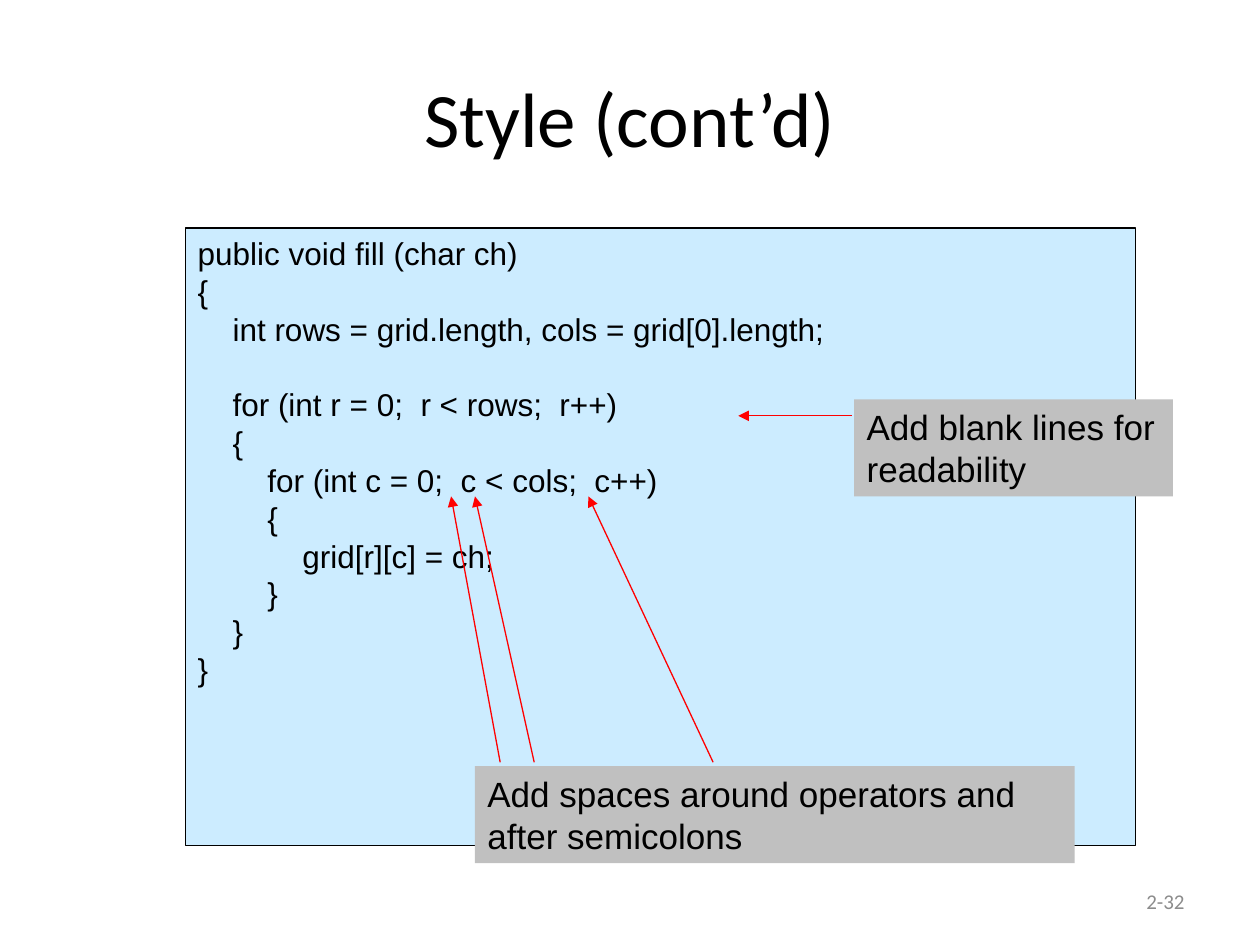
from lxml.etree import SubElement as Sub
from pptx import Presentation
from pptx.dml.color import RGBColor as RGB
from pptx.enum.shapes import MSO_CONNECTOR as Conn, MSO_SHAPE as Kind
from pptx.enum.text import MSO_ANCHOR as Anchor, PP_ALIGN as Align
from pptx.oxml.ns import qn
from pptx.util import Inches, Pt

BLACK = RGB(0x00, 0x00, 0x00)
GREY = RGB(0x8C, 0x8C, 0x8C)
SILVER = RGB(0xC0, 0xC0, 0xC0)
SKY = RGB(0xCC, 0xEC, 0xFF)
RED = RGB(0xFF, 0x00, 0x00)

COLS, ROWS = 100, 75
WIDE, HIGH = Inches(10), Inches(7.5)

CODE = """public void fill (char ch)
{
    int rows = grid.length, cols = grid[0].length;
   
    for (int r = 0;  r < rows;  r++)
    {
        for (int c = 0;  c < cols;  c++)
        {
            grid[r][c] = ch;
        }
    }
}"""


def place(*cells):
    """Turn alternating columns and rows into slide lengths."""
    units = (WIDE / COLS, HIGH / ROWS)
    return [round(n * units[i % 2]) for i, n in enumerate(cells)]


def write(shape, text, size, face="Arial", color=BLACK, align=Align.LEFT,
          anchor=Anchor.TOP):
    """Fill a shape with evenly styled lines of text."""
    frame = shape.text_frame
    frame.word_wrap = True
    frame.vertical_anchor = anchor
    frame.text = text
    for para in frame.paragraphs:
        para.alignment = align
        para.font.name = face
        para.font.size = Pt(size)
        para.font.color.rgb = color


def label(slide, cells, text, size, color, align):
    """Add a plain text box centred on its middle line."""
    box = slide.shapes.add_textbox(*place(*cells))
    write(box, text, size, "Calibri", color, align, Anchor.MIDDLE)


def panel(slide, cells, text, size, fill, edge=None):
    """Add a filled box of text with an optional outline."""
    box = slide.shapes.add_shape(Kind.RECTANGLE, *place(*cells))
    box.shadow.inherit = False
    box.fill.solid()
    box.fill.fore_color.rgb = fill
    if edge is None:
        box.line.fill.background()
    else:
        box.line.color.rgb = edge
        box.line.width = Pt(0.75)
    write(box, text, size)


def arrow(slide, *cells):
    """Add a thin red arrow from one grid point to another."""
    line = slide.shapes.add_connector(Conn.STRAIGHT, *place(*cells))
    line.line.color.rgb = RED
    line.line.width = Pt(0.75)
    Sub(line.line._get_or_add_ln(), qn("a:tailEnd"), type="triangle")
    Sub(line._element.spPr, qn("a:effectLst"))


def main():
    """Build the slide and save it."""
    deck = Presentation()
    deck.slide_width, deck.slide_height = WIDE, HIGH
    slide = deck.slides.add_slide(deck.slide_layouts[6])

    label(slide, (71.7, 69.5, 23.3, 4), "2-32", 12, GREY, Align.RIGHT)
    label(slide, (5, 3, 90, 12.5), "Style (cont’d)", 44, BLACK, Align.CENTER)
    panel(slide, (14.7, 18.1, 75.4, 49), CODE, 18, SKY, BLACK)
    panel(slide, (67.8, 31.7, 25.3, 7.7),
          "Add blank lines for readability", 20, SILVER)
    panel(slide, (37.7, 60.8, 47.6, 7.7),
          "Add spaces around operators and after semicolons", 20, SILVER)

    arrow(slide, 67.6, 33, 58.6, 33)
    for start, end in ((39.7, 35.8), (42.4, 37.7), (56.6, 46.7)):
        arrow(slide, start, 60.5, end, 39.4)

    deck.save("out.pptx")


if __name__ == "__main__":
    main()
